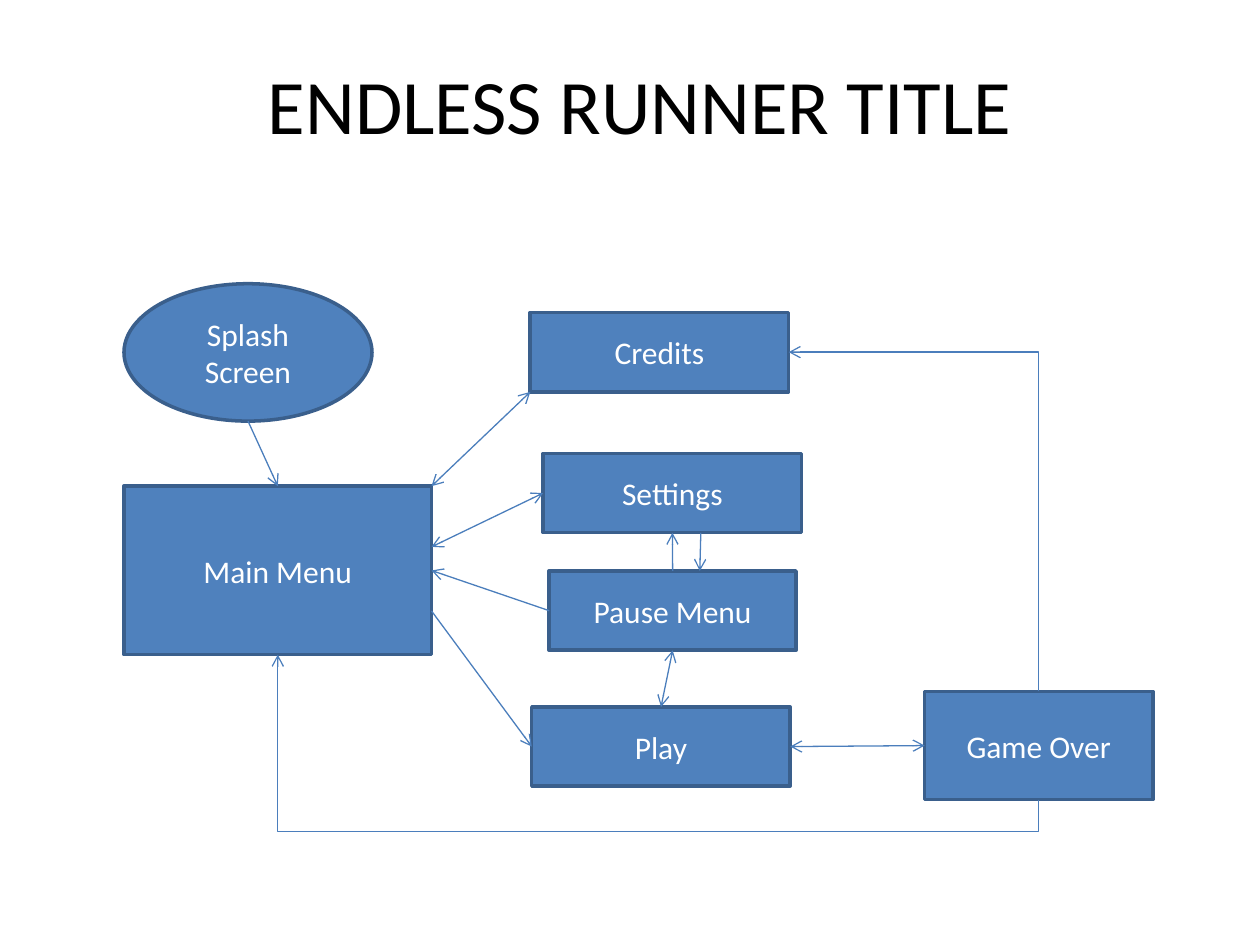
from dataclasses import dataclass

from lxml.etree import SubElement
from pptx import Presentation
from pptx.dml.color import RGBColor
from pptx.enum.shapes import MSO_CONNECTOR, MSO_SHAPE
from pptx.enum.text import MSO_ANCHOR, PP_ALIGN
from pptx.oxml.ns import qn
from pptx.util import Cm, Pt

BLACK = RGBColor(0x00, 0x00, 0x00)
WHITE = RGBColor(0xFF, 0xFF, 0xFF)
BOX_FILL = RGBColor(0x4F, 0x81, 0xBD)
BOX_BORDER = RGBColor(0x3A, 0x5F, 0x8C)
ARROW_BLUE = RGBColor(0x4B, 0x7E, 0xBC)

# Positions on a screen box, as fractions of its width and height
TOP, BOTTOM, LEFT, RIGHT = (0.5, 0), (0.5, 1), (0, 0.5), (1, 0.5)


@dataclass(frozen=True)
class Screen:
    """A game screen; lengths in centimetres."""
    label: str
    left: float
    top: float
    width: float = 5.21
    height: float = 1.6
    kind: MSO_SHAPE = MSO_SHAPE.RECTANGLE

    def point(self, anchor: tuple) -> tuple:
        return (self.left + anchor[0] * self.width,
                self.top + anchor[1] * self.height)


@dataclass(frozen=True)
class Link:
    """An arrow between two screens; overshoot is the bend beyond the start."""
    source: Screen
    source_anchor: tuple
    target: Screen
    target_anchor: tuple
    both_ways: bool = False
    elbow: str = ""
    overshoot: float = 0


def write_text(shape, text: str, size: int, color: RGBColor) -> None:
    frame = shape.text_frame
    frame.word_wrap = True
    frame.vertical_anchor = MSO_ANCHOR.MIDDLE
    paragraph = frame.paragraphs[0]
    paragraph.alignment = PP_ALIGN.CENTER
    run = paragraph.add_run()
    run.text = text
    for name, value in {"name": "Calibri", "size": Pt(size)}.items():
        setattr(run.font, name, value)
    run.font.color.rgb = color


def draw_screen(slide, screen: Screen) -> None:
    shape = slide.shapes.add_shape(
        screen.kind, Cm(screen.left), Cm(screen.top),
        Cm(screen.width), Cm(screen.height))
    shape.shadow.inherit = False
    shape.fill.solid()
    shape.fill.fore_color.rgb = BOX_FILL
    shape.line.color.rgb = BOX_BORDER
    shape.line.width = Pt(2)
    write_text(shape, screen.label, 18, WHITE)


def bend(connector, link: Link, start: tuple, end: tuple) -> None:
    """Turn an elbow so that it leaves its start vertically."""
    rise, run = abs(end[1] - start[1]), abs(end[0] - start[0])
    box = {
        "left": Cm((start[0] + end[0] - rise) / 2),
        "top": Cm((start[1] + end[1] - run) / 2),
        "width": Cm(rise),
        "height": Cm(run),
    }
    for name, value in box.items():
        setattr(connector, name, value)
    properties = connector._element.spPr
    transform = properties.find(qn("a:xfrm"))
    transform.attrib.pop("flipH", None)
    transform.set("flipV", "1")
    transform.set("rot", str(270 * 60000))
    geometry = properties.find(qn("a:prstGeom"))
    geometry.set("prst", link.elbow)
    if link.overshoot:
        adjustments = geometry.find(qn("a:avLst"))
        if adjustments is None:
            adjustments = SubElement(geometry, qn("a:avLst"))
        ratio = round(-link.overshoot / rise * 100000)
        SubElement(adjustments, qn("a:gd"), name="adj1", fmla=f"val {ratio}")


def draw_link(slide, link: Link) -> None:
    start = link.source.point(link.source_anchor)
    end = link.target.point(link.target_anchor)
    kind = MSO_CONNECTOR.ELBOW if link.elbow else MSO_CONNECTOR.STRAIGHT
    connector = slide.shapes.add_connector(
        kind, *(Cm(value) for value in start + end))
    if link.elbow:
        bend(connector, link, start, end)
    connector.line.color.rgb = ARROW_BLUE
    connector.line.width = Pt(0.75)
    line = connector.line._get_or_add_ln()
    for tag in ("a:headEnd", "a:tailEnd") if link.both_ways else ("a:tailEnd",):
        SubElement(line, qn(tag), type="arrow")
    SubElement(connector._element.spPr, qn("a:effectLst"))


# Screens of the game
MAIN_MENU = Screen("Main Menu", 2.5, 9.8, 6.2, 3.4)
PLAY = Screen("Play", 10.72, 14.25)
SETTINGS = Screen("Settings", 10.95, 9.14)
CREDITS = Screen("Credits", 10.69, 6.3)
SPLASH = Screen("Splash Screen", 2.5, 5.72, 5, 2.77, MSO_SHAPE.OVAL)
PAUSE_MENU = Screen("Pause Menu", 11.07, 11.51, 4.98)
GAME_OVER = Screen("Game Over", 18.64, 13.94, 4.6, 2.18)
SCREENS = (MAIN_MENU, PLAY, SETTINGS, CREDITS, SPLASH, PAUSE_MENU, GAME_OVER)

# Ways from screen to screen
LINKS = (
    Link(MAIN_MENU, (1, 0.74), PLAY, LEFT),
    Link(SPLASH, BOTTOM, MAIN_MENU, TOP),
    Link(PLAY, RIGHT, GAME_OVER, LEFT, both_ways=True),
    Link(GAME_OVER, BOTTOM, MAIN_MENU, BOTTOM,
         elbow="bentConnector3", overshoot=0.64),
    Link(GAME_OVER, TOP, CREDITS, RIGHT, elbow="bentConnector2"),
    Link(PAUSE_MENU, TOP, SETTINGS, BOTTOM),
    Link(CREDITS, (0, 1), MAIN_MENU, (1, 0), both_ways=True),
    Link(SETTINGS, LEFT, MAIN_MENU, (1, 0.36), both_ways=True),
    Link(PAUSE_MENU, LEFT, MAIN_MENU, RIGHT),
    Link(PAUSE_MENU, BOTTOM, PLAY, TOP, both_ways=True),
    Link(SETTINGS, (0.61, 1), PAUSE_MENU, (0.61, 0)),
)

presentation = Presentation()
presentation.slide_width, presentation.slide_height = Cm(25.4), Cm(19.05)
slide = presentation.slides.add_slide(presentation.slide_layouts[6])

# Title
title = slide.shapes.add_textbox(Cm(2.11), Cm(0.05), Cm(21.59), Cm(4.09))
write_text(title, "ENDLESS RUNNER TITLE", 44, BLACK)

# Flow chart
for screen in SCREENS:
    draw_screen(slide, screen)
for link in LINKS:
    draw_link(slide, link)

presentation.save("out.pptx")
